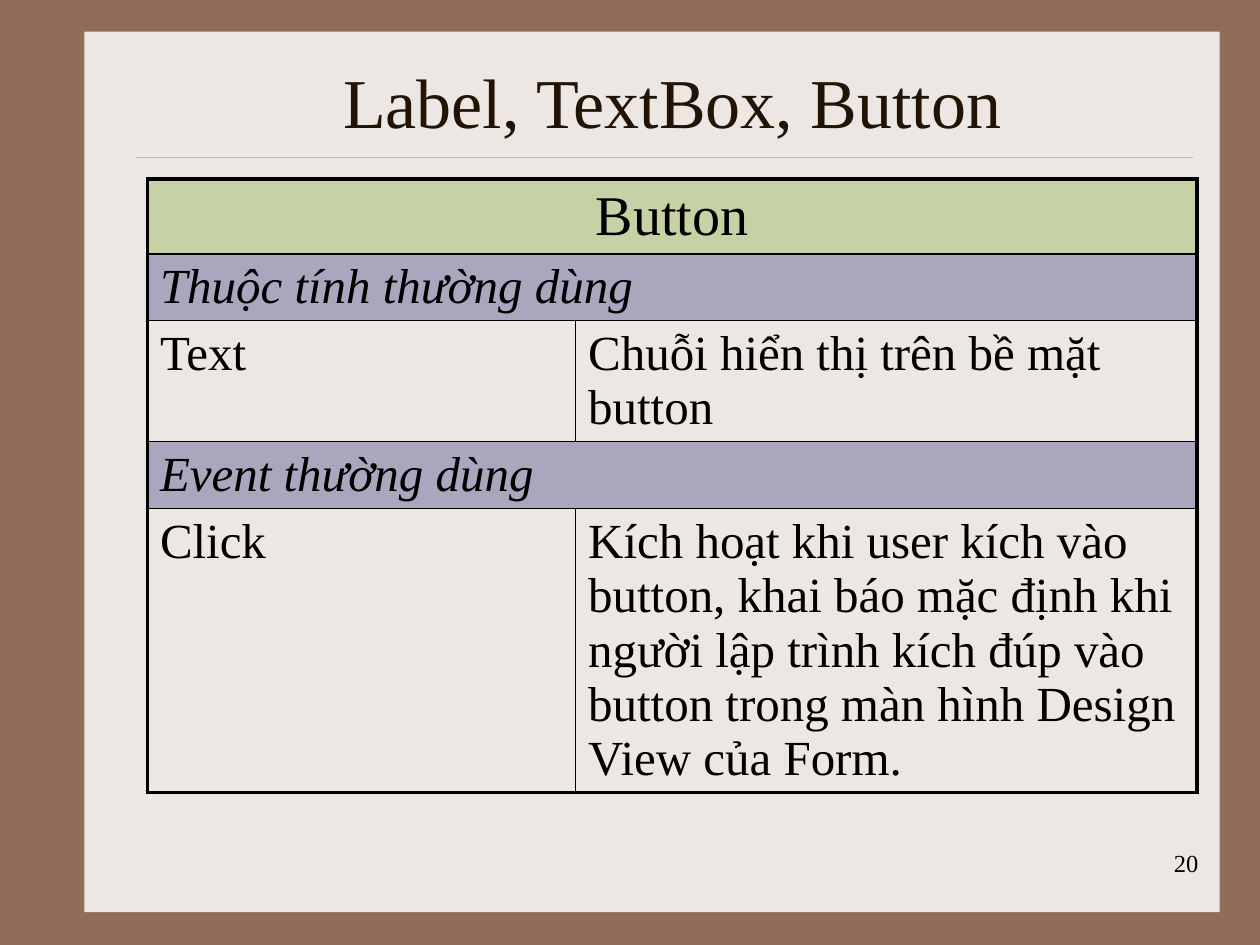
from lxml import etree
from pptx import Presentation
from pptx import util as u
from pptx.dml import color
from pptx.enum import shapes, text
from pptx.oxml import ns

FONT = "Times New Roman"
BLACK, BROWN, PAPER, INK, RULE = "000000", "906D58", "EDE7E3", "221304", "CBBD83"
GREEN, VIOLET = "A1BD69", "666699"
THICK, THIN = 2.25, 1
COLUMN_SHARES = (0.408, 0.592)
ROW_HEIGHTS = (0.46, 0.4, 0.71, 0.4, 0.44)
ROWS = (
    ("Button",),
    ("Thuộc tính thường dùng",),
    ("Text", "Chuỗi hiển thị trên bề mặt button"),
    ("Event thường dùng",),
    ("Click", "Kích hoạt khi user kích vào button, khai báo mặc định khi người lập trình "
              "kích đúp vào button trong màn hình Design View của Form."),
)


def rgb(hex_code):
    """Turn a hex string into a colour."""
    return color.RGBColor.from_string(hex_code)


def inches(box):
    """Turn a box in inches into lengths."""
    return [u.Inches(length) for length in box]


def write(frame, words, size, ink=BLACK, align=text.PP_ALIGN.LEFT, italic=False):
    """Put one formatted paragraph into a text frame."""
    frame.text = words
    paragraph = frame.paragraphs[0]
    paragraph.alignment = align
    font = paragraph.runs[0].font
    font.name, font.size, font.italic = FONT, u.Pt(size), italic
    font.color.rgb = rgb(ink)


def draw_backdrop(slide, box):
    """Draw the brown surround, the paper panel and the rule under the title."""
    slide.background.fill.solid()
    slide.background.fill.fore_color.rgb = rgb(BROWN)
    paper = slide.shapes.add_shape(shapes.MSO_SHAPE.RECTANGLE, *inches(box))
    paper.shadow.inherit = False
    paper.fill.solid()
    paper.fill.fore_color.rgb = rgb(PAPER)
    paper.line.fill.background()
    left, top, width, _ = box
    rule = slide.shapes.add_connector(
        shapes.MSO_CONNECTOR.STRAIGHT,
        *inches((left + 0.41, top + 1, left + width - 0.21, top + 1)))
    rule.line.color.rgb = rgb(RULE)
    rule.line.width = u.Pt(0.25)
    etree.SubElement(rule._element.spPr, ns.qn("a:effectLst"))


def place_title(slide, box, words):
    """Bring the title placeholder in front of the paper and format it."""
    title = slide.shapes.title
    slide.shapes._spTree.append(title._element)
    title.left, title.top, title.width, title.height = inches(box)
    title.text_frame.vertical_anchor = text.MSO_ANCHOR.MIDDLE
    write(title.text_frame, words, 40, INK, text.PP_ALIGN.CENTER)


def set_borders(cell, **widths):
    """Draw black cell borders with the given widths in points."""
    properties = cell._tc.get_or_add_tcPr()
    for side in "LRTB":
        border = etree.SubElement(properties, ns.qn("a:ln" + side), w=str(u.Pt(widths[side])))
        fill = etree.SubElement(border, ns.qn("a:solidFill"))
        etree.SubElement(fill, ns.qn("a:srgbClr"), val=BLACK)


def tint(cell, hex_code):
    """Fill a cell with a half transparent colour."""
    cell.fill.solid()
    cell.fill.fore_color.rgb = rgb(hex_code)
    tone = cell._tc.tcPr.find(ns.qn("a:solidFill") + "/" + ns.qn("a:srgbClr"))
    etree.SubElement(tone, ns.qn("a:alpha"), val="50000")


def space_before(cell, percent):
    """Give the cell's paragraph a relative space before it."""
    properties = cell.text_frame.paragraphs[0]._p.get_or_add_pPr()
    spacing = etree.SubElement(properties, ns.qn("a:spcBef"))
    etree.SubElement(spacing, ns.qn("a:spcPct"), val=str(percent * 1000))


def place_member_table(slide, box):
    """Build the table of properties and events."""
    last_row, last_column = len(ROWS) - 1, len(COLUMN_SHARES) - 1
    holder = slide.shapes.add_table(len(ROWS), len(COLUMN_SHARES), *inches(box))
    table = holder.table
    table.first_row = table.horz_banding = False
    for column, share in zip(table.columns, COLUMN_SHARES):
        column.width = u.Inches(box[2] * share)
    for r, (entries, height) in enumerate(zip(ROWS, ROW_HEIGHTS)):
        table.rows[r].height = u.Inches(height)
        heading = len(entries) == 1
        if heading:
            table.cell(r, 0).merge(table.cell(r, last_column))
        for c in range(last_column + 1):
            cell = table.cell(r, c)
            set_borders(cell,
                        L=THICK if c == 0 or heading else THIN,
                        R=THICK if c == last_column or heading else THIN,
                        T=THICK if r == 0 else THIN,
                        B=THICK if r == last_row else THIN)
            if heading:
                tint(cell, VIOLET if r else GREEN)
            else:
                cell.fill.background()
        for c, words in enumerate(entries):
            cell = table.cell(r, c)
            write(cell.text_frame, words, 28 if r else 32,
                  align=text.PP_ALIGN.LEFT if r else text.PP_ALIGN.CENTER,
                  italic=heading and r > 0)
            space_before(cell, 20)
    for c in range(1, last_column + 1):
        for r, entries in enumerate(ROWS):
            if len(entries) == 1:
                table.cell(r, c).text_frame.paragraphs[0].font.size = u.Pt(28)
    holder.height = u.Inches(box[3])


def place_page_number(slide, box, number):
    """Place the page number at the lower right."""
    frame = slide.shapes.add_textbox(*inches(box)).text_frame
    frame.word_wrap = True
    write(frame, number, 14, align=text.PP_ALIGN.RIGHT)


def main():
    """Build and save the slide."""
    deck = Presentation()
    deck.slide_width, deck.slide_height = inches((10, 7.5))
    slide = deck.slides.add_slide(deck.slide_layouts[5])
    draw_backdrop(slide, (0.67, 0.25, 9.01, 6.99))
    place_page_number(slide, (7.53, 6.68, 2.08, 0.5), "20")
    place_title(slide, (1.17, 0.42, 8.33, 0.75), "Label, TextBox, Button")
    place_member_table(slide, (1.17, 1.42, 8.33, 5.23))
    deck.save("out.pptx")


if __name__ == "__main__":
    main()
